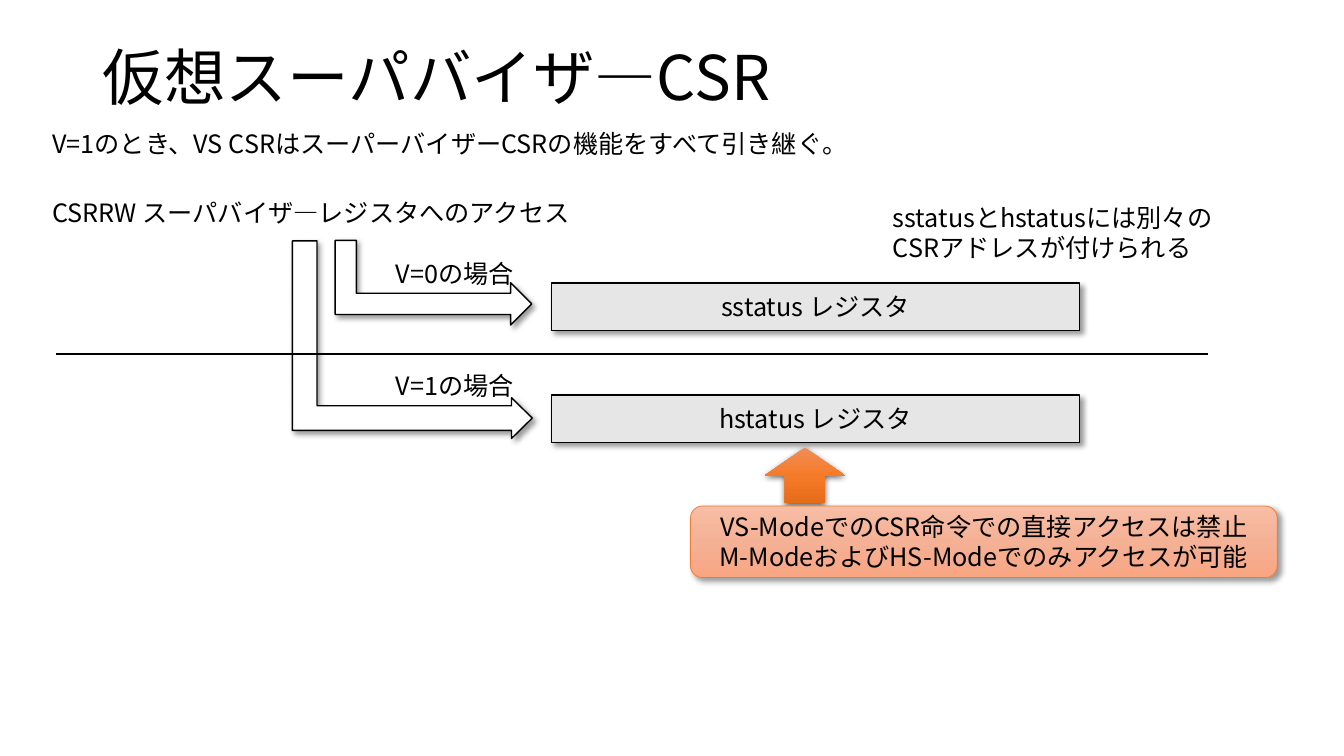
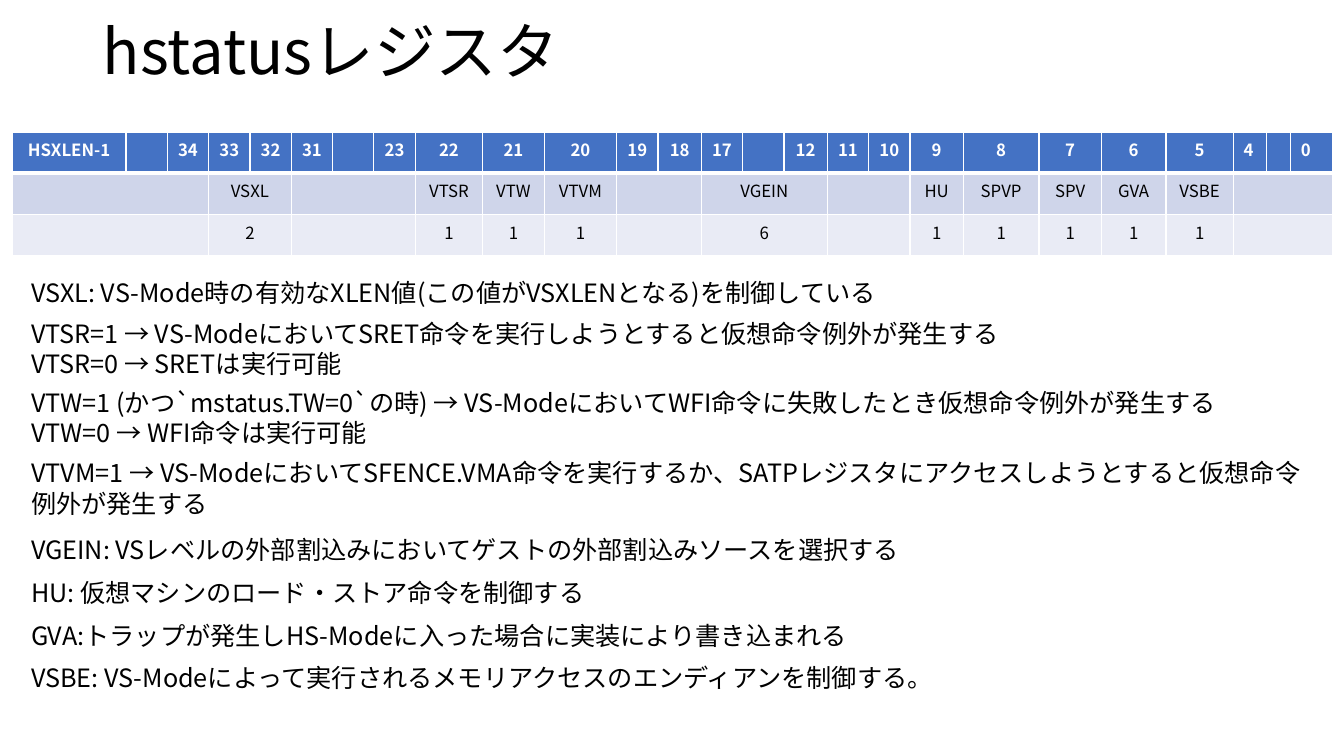
import copy
import dataclasses

import lxml.etree
import pptx
import pptx.dml.color
import pptx.enum.shapes
import pptx.enum.text
import pptx.oxml.ns
import pptx.util

SHAPES = pptx.enum.shapes.MSO_SHAPE
ALIGN = pptx.enum.text.PP_ALIGN
ANCHOR = pptx.enum.text.MSO_ANCHOR
qn = pptx.oxml.ns.qn


@dataclasses.dataclass(frozen=True)
class Theme:
    font: str = "Noto Sans CJK JP"
    title_size: int = 44
    body_size: int = 18
    table_size: int = 12
    ink: str = "000000"
    paper: str = "FFFFFF"
    register: str = "E7E6E6"
    accent: str = "ED7D31"
    arrow_blend: tuple = ("F18C57", "F67B28", "E56C19")
    note_blend: tuple = ("F7BDA5", "F5B196", "F8A582")
    header: str = "4472C4"
    bands: tuple = ("CFD5EA", "E9EBF5")
    # Shadows: opacity in percent, blur and distance in points, angle in degrees
    soft_shadow: tuple = (40, 4, 3, 45)
    drop_shadow: tuple = (63, 4.5, 1.5, 90)


def cells(count):
    """Grid columns and rows are a tenth of an inch."""
    return pptx.util.Inches(count / 10)


def rgb(value):
    return pptx.dml.color.RGBColor.from_string(value)


def add_node(parent, tag, **attributes):
    values = {name: str(value) for name, value in attributes.items()}
    return lxml.etree.SubElement(parent, qn(tag), values)


class Painter:
    def __init__(self, theme):
        self.theme = theme
        self.deck = pptx.Presentation()
        self.deck.slide_width = cells(133.33)
        self.deck.slide_height = cells(75)
        self.page = None

    def add_page(self, title, top, height):
        self.page = self.deck.slides.add_slide(self.deck.slide_layouts[6])
        box = self.text((9.2, top, 115, height), title, size=self.theme.title_size)
        box.text_frame.vertical_anchor = ANCHOR.MIDDLE
        box.text_frame.paragraphs[0].line_spacing = 0.9

    def style(self, frame, size=None, color=None, bold=False, align=ALIGN.LEFT):
        size = pptx.util.Pt(size or self.theme.body_size)
        for para in frame.paragraphs:
            para.alignment = align
            if not para.runs:
                add_node(para._p, "a:endParaRPr", sz=int(size.pt * 100))
            for span in para.runs:
                span.font.size = size
                span.font.bold = bold
                span.font.color.rgb = rgb(color or self.theme.ink)
                span.font.name = self.theme.font
                add_node(span._r.rPr, "a:ea", typeface=self.theme.font)

    def text(self, place, words, size=None, wrap=True):
        box = self.page.shapes.add_textbox(*map(cells, place))
        box.text_frame.text = words
        box.text_frame.word_wrap = wrap
        self.style(box.text_frame, size)
        return box

    def shape(self, kind, place, fill, line=None, width=1, shadow=None, words=""):
        shape = self.page.shapes.add_shape(kind, *map(cells, place))
        if isinstance(fill, tuple):
            self.blend(shape, fill)
        else:
            shape.fill.solid()
            shape.fill.fore_color.rgb = rgb(fill)
        if line:
            shape.line.color.rgb = rgb(line)
            shape.line.width = pptx.util.Pt(width)
        else:
            shape.line.fill.background()
        self.shade(shape, shadow or self.theme.soft_shadow)
        if words:
            shape.text_frame.text = words
            shape.text_frame.vertical_anchor = ANCHOR.MIDDLE
            self.style(shape.text_frame, align=ALIGN.CENTER)
        return shape

    def blend(self, shape, colors):
        shape.fill.gradient()
        stop_list = shape._element.spPr.find(".//" + qn("a:gsLst"))
        stop_list.append(copy.deepcopy(stop_list[-1]))
        for index, (stop, color) in enumerate(zip(shape.fill.gradient_stops, colors)):
            stop.position = index / (len(colors) - 1)
            stop.color.rgb = rgb(color)
        shape.fill.gradient_angle = 270

    def shade(self, shape, shadow):
        opacity, blur, distance, angle = shadow
        shape.shadow.inherit = False
        effects = shape._element.spPr.find(qn("a:effectLst"))
        outer = add_node(effects, "a:outerShdw", blurRad=pptx.util.Pt(blur),
                         dist=pptx.util.Pt(distance), dir=angle * 60000,
                         algn="ctr", rotWithShape=0)
        color = add_node(outer, "a:srgbClr", val=self.theme.ink)
        add_node(color, "a:alpha", val=opacity * 1000)

    def bent_arrow(self, place, adjustments=()):
        arrow = self.shape(SHAPES.BENT_UP_ARROW, place, self.theme.paper, self.theme.ink)
        arrow.rotation = 90
        for index, value in enumerate(adjustments):
            arrow.adjustments[index] = value

    def rule(self, left, right, top):
        line = self.page.shapes.add_connector(
            pptx.enum.shapes.MSO_CONNECTOR.STRAIGHT, *map(cells, (left, top, right, top)))
        line.line.color.rgb = rgb(self.theme.ink)
        line.line.width = pptx.util.Pt(1.5)
        add_node(line._element.spPr, "a:effectLst")

    def cell(self, cell, fill, top=1, bottom=1):
        cell.fill.solid()
        cell.fill.fore_color.rgb = rgb(fill)
        properties = cell._tc.get_or_add_tcPr()
        sides = (("L", 1), ("R", 1), ("T", top), ("B", bottom))
        for index, (side, width) in enumerate(sides):
            border = add_node(properties, "a:ln" + side, w=pptx.util.Pt(width))
            add_node(add_node(border, "a:solidFill"), "a:srgbClr", val=self.theme.paper)
            properties.insert(index, border)

    def bit_table(self, place, row_height, widths, bits, fields):
        """Each field is (number of columns, name, width in bits)."""
        table = self.page.shapes.add_table(3, len(widths), *map(cells, place)).table
        for column, width in zip(table.columns, widths):
            column.width = cells(width)
        for row in table.rows:
            row.height = cells(row_height)
        # Header with bit numbers
        for column, bit in enumerate(bits):
            table.cell(0, column).text_frame.text = bit
        # Field names and sizes
        column = 0
        for count, *labels in fields:
            for row, label in enumerate(labels, 1):
                table.cell(row, column).text_frame.text = label
                if count > 1:
                    table.cell(row, column).merge(table.cell(row, column + count - 1))
            column += count
        # Fills, borders and type
        fills = (self.theme.header, *self.theme.bands)
        for row, fill in enumerate(fills):
            for column in range(len(widths)):
                cell = table.cell(row, column)
                self.cell(cell, fill, 3 if row == 1 else 1, 3 if row == 0 else 1)
                last_bits = row == 0 and column >= len(widths) - 3
                self.style(cell.text_frame, self.theme.table_size,
                           self.theme.ink if row else self.theme.paper, row == 0,
                           ALIGN.LEFT if last_bits else ALIGN.CENTER)


theme = Theme()
painter = Painter(theme)

# Page 1: access to the virtual supervisor registers
painter.add_page("仮想スーパバイザ―CSR", 4, 8)
painter.text((4.2, 12.2, 83.9, 4),
             "V=1のとき、VS CSRはスーパーバイザーCSRの機能をすべて引き継ぐ。", wrap=False)
painter.text((4.2, 19.1, 54.7, 4), "CSRRW スーパバイザ―レジスタへのアクセス", wrap=False)

# One arrow, label and register for each value of V
access_arrows = (
    ((38.8, 18.3, 8.4, 19.5), ()),
    ((31.1, 21.8, 19.6, 23.8), (0.125, 0.103, 0.105)),
)
for mode, (register, (place, bends)) in enumerate(zip(("sstatus", "hstatus"), access_arrows)):
    offset = mode * 11.1
    painter.shape(SHAPES.RECTANGLE, (54.7, 28.1 + offset, 52.4, 4.7), theme.register,
                  theme.ink, words=f"{register} レジスタ")
    painter.bent_arrow(place, bends)
    painter.text((38.3, 25.1 + offset, 14.4, 4), f"V={mode}の場合", wrap=False)

painter.text((87.6, 19.6, 36.1, 7.1), "sstatusとhstatusには別々のCSRアドレスが付けられる")
painter.rule(5.6, 119.8, 35.1)

# Restriction on hstatus
painter.shape(SHAPES.UP_ARROW, (75.9, 44.4, 7.9, 5.5), theme.arrow_blend,
              shadow=theme.drop_shadow)
painter.shape(SHAPES.FLOWCHART_ALTERNATE_PROCESS, (68.5, 50.2, 58.2, 7.1),
              theme.note_blend, theme.accent, 0.5,
              words="VS-ModeでのCSR命令での直接アクセスは禁止\n"
                    "M-ModeおよびHS-Modeでのみアクセスが可能")

# Page 2: fields of hstatus
painter.add_page("hstatusレジスタ", 1.5, 7.8)
bit_columns = (
    ("HSXLEN-1", 11.3), ("", 4.1), ("34", 4.1), ("33", 4.1), ("32", 4.1), ("31", 4.1),
    ("", 4.1), ("23", 4.1), ("22", 6.7), ("21", 6.1), ("20", 7.2), ("19", 4.1),
    ("18", 4.3), ("17", 4.1), ("", 4.1), ("12", 4.3), ("11", 4.1), ("10", 4.1),
    ("9", 5.3), ("8", 7.5), ("7", 6.2), ("6", 6.4), ("5", 6.7), ("4", 3.3),
    ("", 2.3), ("0", 4.1),
)
bits, widths = zip(*bit_columns)
fields = (
    (3, "", ""), (2, "VSXL", "2"), (3, "", ""), (1, "VTSR", "1"), (1, "VTW", "1"),
    (1, "VTVM", "1"), (2, "", ""), (3, "VGEIN", "6"), (2, "", ""), (1, "HU", "1"),
    (1, "SPVP", "1"), (1, "SPV", "1"), (1, "GVA", "1"), (1, "VSBE", "1"), (3, "", ""),
)
painter.bit_table((1.2, 13.1, 131.1, 12.2), 4.1, widths, bits, fields)

# Descriptions: top, width, height, words
descriptions = (
    (27, 127, 4, "VSXL: VS-Mode時の有効なXLEN値(この値がVSXLENとなる)を制御している"),
    (31.1, 112.4, 7.1, "VTSR=1 → VS-ModeにおいてSRET命令を実行しようとすると仮想命令例外が発生する\n"
                       "VTSR=0 → SRETは実行可能"),
    (37.9, 125.4, 7.1, "VTW=1 (かつ`mstatus.TW=0`の時) → VS-ModeにおいてWFI命令に失敗したとき"
                       "仮想命令例外が発生する\nVTW=0 → WFI命令は実行可能"),
    (44.9, 127.9, 7.1, "VTVM=1 → VS-ModeにおいてSFENCE.VMA命令を実行するか、SATPレジスタに"
                       "アクセスしようとすると仮想命令例外が発生する"),
    (52.5, 107.4, 4, "VGEIN: VSレベルの外部割込みにおいてゲストの外部割込みソースを選択する"),
    (56.8, 127, 4, "HU: 仮想マシンのロード・ストア命令を制御する"),
    (61.1, 127, 4, "GVA:トラップが発生しHS-Modeに入った場合に実装により書き込まれる"),
    (65.2, 127, 4, "VSBE: VS-Modeによって実行されるメモリアクセスのエンディアンを制御する。"),
)
for top, width, height, words in descriptions:
    painter.text((2.1, top, width, height), words)

painter.deck.save("out.pptx")
